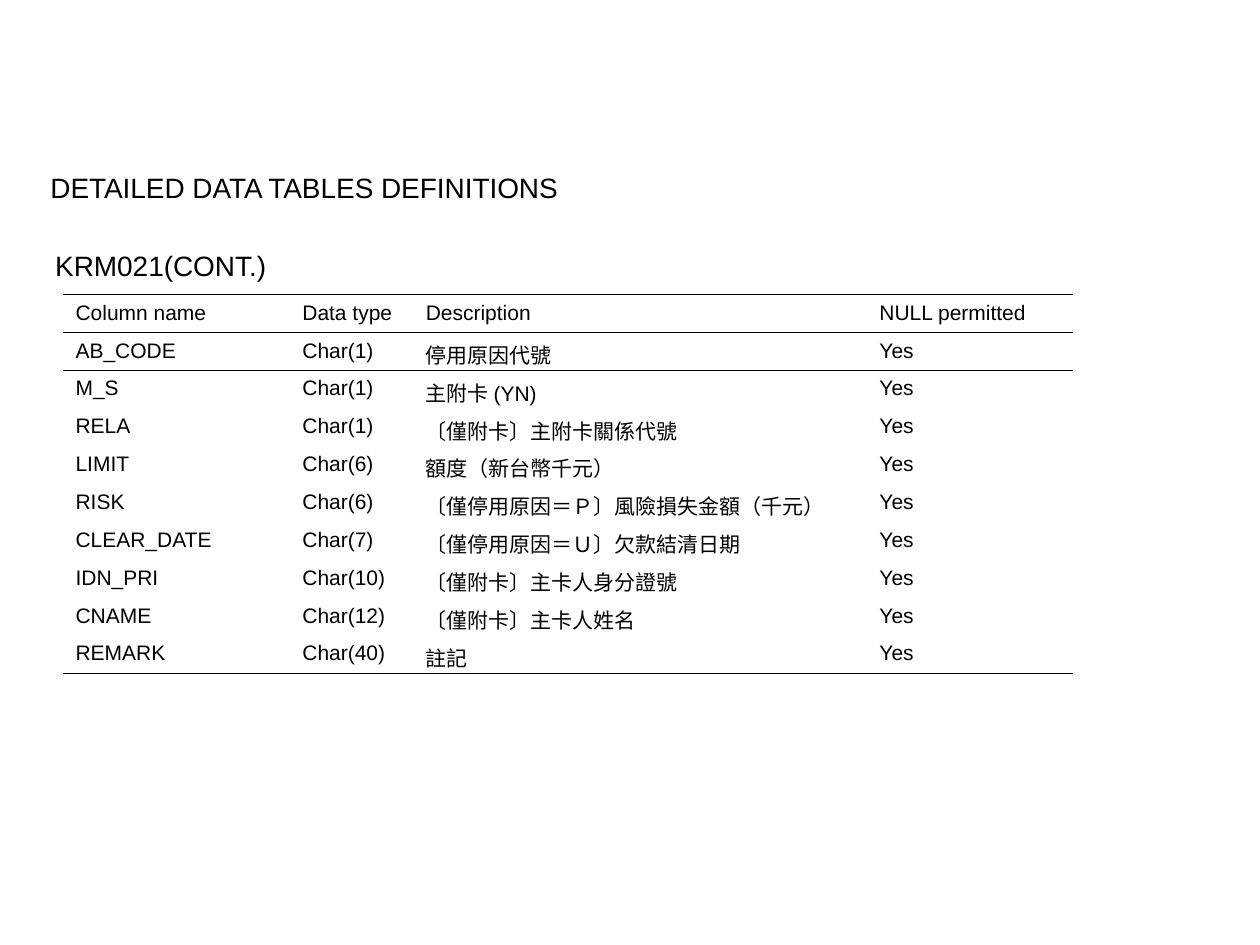
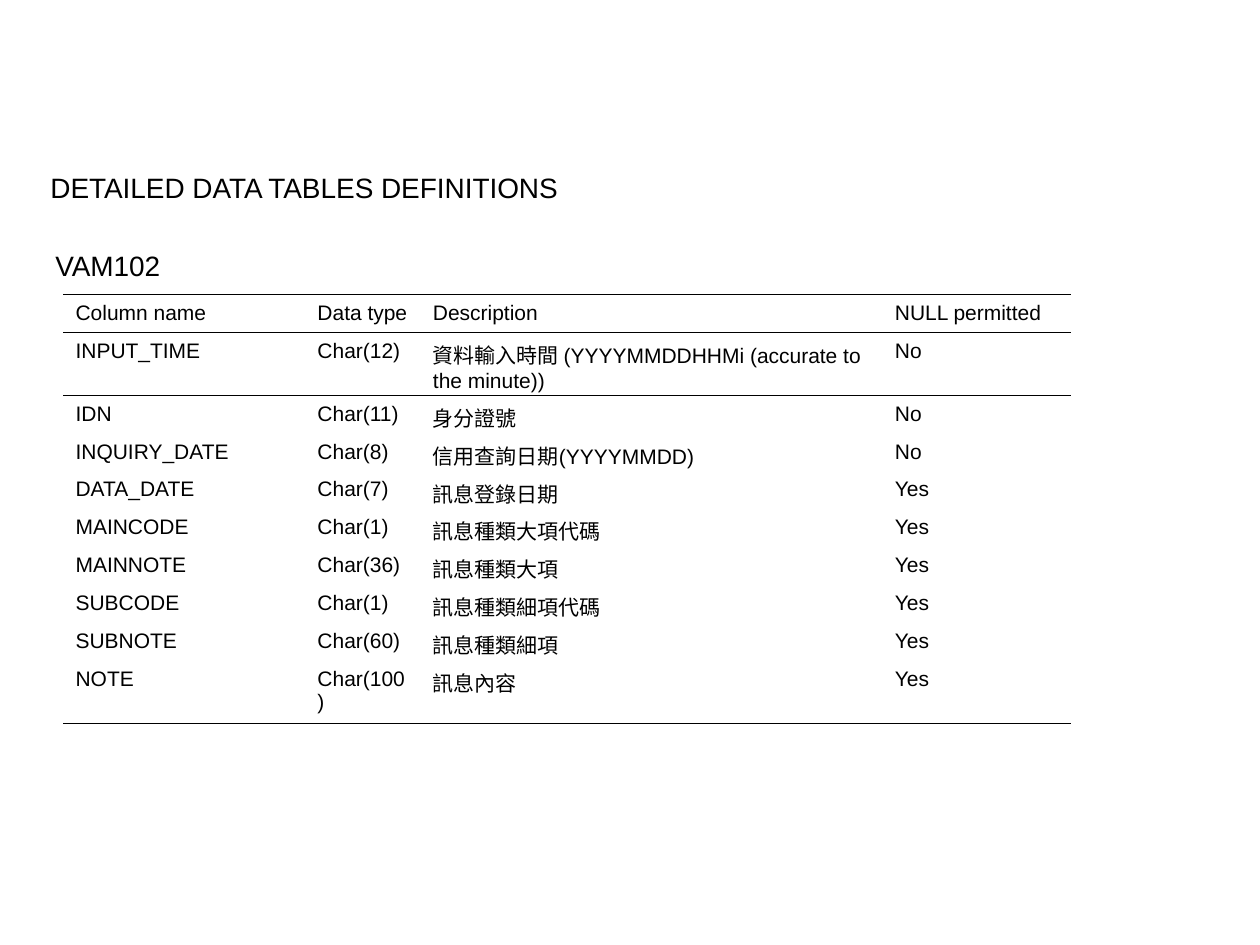
import pptx
import pptx.dml.color
import pptx.enum.text
import pptx.oxml
import pptx.oxml.ns
import pptx.util

Pt = pptx.util.Pt
BLACK = pptx.dml.color.RGBColor(0x00, 0x00, 0x00)
FONT = "Arial"
HEADING_SIZE = 16
CELL_SIZE = 12
OUTER_RULE = 0.75
HEADER_RULE = 0.45
ROW_HEIGHT = 21.6
TALL_ROW_HEIGHT = 36
PLAIN_TABLE_STYLE = "{2D5ABB26-0587-4C30-8999-92F81FD0307C}"

TITLE = "DETAILED DATA TABLES DEFINITIONS"
HEADER = ("Column name", "Data type", "Description", "NULL permitted")

definitions = [
    {
        "name": "KRM021(CONT.)",
        "name_width": 136.8,
        "column_widths": (129.6, 70.56, 259.2, 118.08),
        "tall_rows": (),
        "rows": [
            ("AB_CODE", "Char(1)", "停用原因代號", "Yes"),
            ("M_S", "Char(1)", "主附卡 (YN)", "Yes"),
            ("RELA", "Char(1)", "〔僅附卡〕主附卡關係代號", "Yes"),
            ("LIMIT", "Char(6)", "額度（新台幣千元）", "Yes"),
            ("RISK", "Char(6)", "〔僅停用原因＝Ｐ〕風險損失金額（千元）", "Yes"),
            ("CLEAR_DATE", "Char(7)", "〔僅停用原因＝Ｕ〕欠款結清日期", "Yes"),
            ("IDN_PRI", "Char(10)", "〔僅附卡〕主卡人身分證號", "Yes"),
            ("CNAME", "Char(12)", "〔僅附卡〕主卡人姓名", "Yes"),
            ("REMARK", "Char(40)", "註記", "Yes"),
        ],
    },
    {
        "name": "VAM102",
        "name_width": 75.6,
        "column_widths": (138.24, 66, 264, 108),
        "tall_rows": (1, 9),
        "rows": [
            ("INPUT_TIME", "Char(12)", "資料輸入時間 (YYYYMMDDHHMi (accurate to the minute))", "No"),
            ("IDN", "Char(11)", "身分證號", "No"),
            ("INQUIRY_DATE", "Char(8)", "信用查詢日期(YYYYMMDD)", "No"),
            ("DATA_DATE", "Char(7)", "訊息登錄日期", "Yes"),
            ("MAINCODE", "Char(1)", "訊息種類大項代碼", "Yes"),
            ("MAINNOTE", "Char(36)", "訊息種類大項", "Yes"),
            ("SUBCODE", "Char(1)", "訊息種類細項代碼", "Yes"),
            ("SUBNOTE", "Char(60)", "訊息種類細項", "Yes"),
            ("NOTE", "Char(100)", "訊息內容", "Yes"),
        ],
    },
]


def write_text(text_frame, text, size):
    text_frame.text = text
    paragraph = text_frame.paragraphs[0]
    paragraph.alignment = pptx.enum.text.PP_ALIGN.LEFT
    paragraph.font.name = FONT
    paragraph.font.size = Pt(size)
    paragraph.font.bold = False
    paragraph.font.color.rgb = BLACK


def add_rule(cell, side, width):
    properties = cell._tc.get_or_add_tcPr()
    rule = pptx.oxml.parse_xml(
        f'<a:{side} {pptx.oxml.ns.nsdecls("a")} w="{Pt(width)}">'
        f'<a:solidFill><a:srgbClr val="{BLACK}"/></a:solidFill></a:{side}>'
    )
    position = len(properties.findall(pptx.oxml.ns.qn("a:lnT")))
    properties.insert(position, rule)


presentation = pptx.Presentation()
presentation.slide_width = Pt(720)
presentation.slide_height = Pt(540)
title_only_layout = presentation.slide_layouts[5]

for definition in definitions:
    slide = presentation.slides.add_slide(title_only_layout)

    title = slide.shapes.title
    title.left, title.top, title.width, title.height = Pt(21.6), Pt(93.6), Pt(668.88), Pt(26.64)
    write_text(title.text_frame, TITLE, HEADING_SIZE)
    title.text_frame.vertical_anchor = pptx.enum.text.MSO_ANCHOR.TOP
    title.text_frame.auto_size = pptx.enum.text.MSO_AUTO_SIZE.SHAPE_TO_FIT_TEXT

    table_name = slide.shapes.add_textbox(Pt(24.48), Pt(138.24), Pt(definition["name_width"]), Pt(26.64))
    write_text(table_name.text_frame, definition["name"], HEADING_SIZE)
    table_name.text_frame.word_wrap = False
    table_name.text_frame.auto_size = pptx.enum.text.MSO_AUTO_SIZE.SHAPE_TO_FIT_TEXT

    rows = [HEADER] + definition["rows"]
    heights = [
        TALL_ROW_HEIGHT if index in definition["tall_rows"] else ROW_HEIGHT
        for index in range(len(rows))
    ]
    widths = definition["column_widths"]
    frame = slide.shapes.add_table(
        len(rows), len(HEADER), Pt(36), Pt(168.48), Pt(sum(widths)), Pt(sum(heights))
    )
    table = frame.table
    table.first_row = False
    table.horz_banding = False
    frame.element.find(".//" + pptx.oxml.ns.qn("a:tableStyleId")).text = PLAIN_TABLE_STYLE

    for column, width in zip(table.columns, widths):
        column.width = Pt(width)
    for row_index, (row, height) in enumerate(zip(rows, heights)):
        table.rows[row_index].height = Pt(height)
        for column_index, text in enumerate(row):
            cell = table.cell(row_index, column_index)
            write_text(cell.text_frame, text, CELL_SIZE)
            cell.fill.background()
            if row_index == 0:
                add_rule(cell, "lnT", OUTER_RULE)
                add_rule(cell, "lnB", HEADER_RULE)
            elif row_index == 1:
                add_rule(cell, "lnT", HEADER_RULE)
            elif row_index == len(rows) - 1:
                add_rule(cell, "lnB", OUTER_RULE)

presentation.save("out.pptx")
